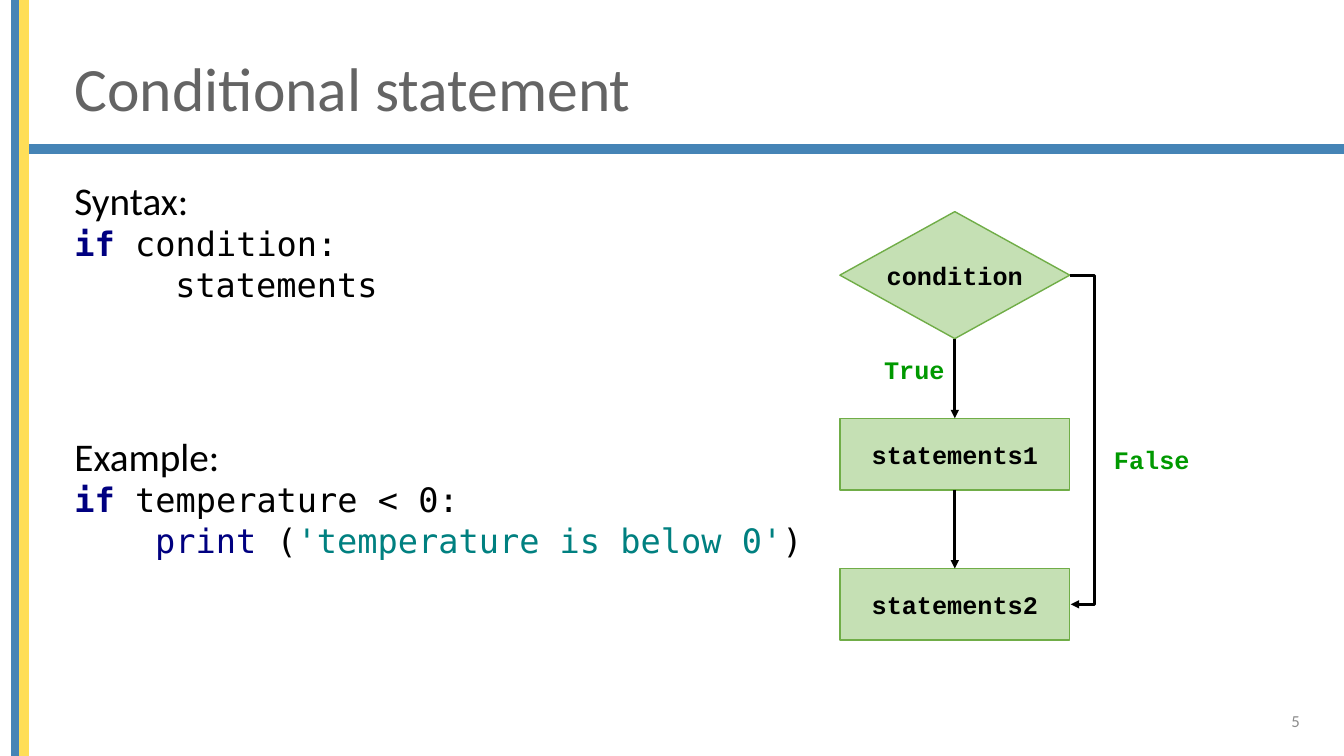
from lxml.etree import SubElement
from pptx import Presentation
from pptx.dml.color import RGBColor
from pptx.enum.shapes import MSO_CONNECTOR, MSO_SHAPE
from pptx.enum.text import MSO_ANCHOR, MSO_AUTO_SIZE, PP_ALIGN
from pptx.oxml.ns import qn
from pptx.util import Inches, Pt

COLORS = {
    "blue": "4584B6", "yellow": "FFDE57", "title": "646464", "text": "000000",
    "keyword": "000080", "string": "008080", "node": "C5E0B4", "edge": "70AD47",
    "label": "009900", "number": "8C8C8C",
}
HEAD = {"name": "Calibri", "size": 28}
CODE = {"name": "DejaVu Sans Mono", "size": 24}
FLOW = {"name": "Courier New", "size": 18, "bold": True}
CHAR_W = 0.2  # width of one code character, inches

# Content: (font, indent in characters, space before in points, [(text, colour, bold)])
BODY = [
    (HEAD, 0, 0, [("Syntax:", "text", False)]),
    (CODE, 0, 0, [("if", "keyword", True), (" condition:", "text", False)]),
    (CODE, 5, 0, [("statements", "text", False)]),
    (HEAD, 0, 91.5, [("Example:", "text", False)]),
    (CODE, 0, 0, [("if", "keyword", True), (" temperature < 0:", "text", False)]),
    (CODE, 4, 0, [("print ", "keyword", False), ("(", "text", False),
                  ("'temperature is below 0'", "string", False), (")", "text", False)]),
]
BARS = [  # left, top, width, height, colour
    (0.2, 1.44, 13.13, 0.08, "blue"),
    (0.12, 0, 0.08, 7.5, "blue"),
    (0.2, 0, 0.08, 7.5, "yellow"),
]
NODES = [  # text, shape, top, height
    ("condition", MSO_SHAPE.FLOWCHART_DECISION, 2.1, 1.26),
    ("statements1", MSO_SHAPE.RECTANGLE, 4.15, 0.71),
    ("statements2", MSO_SHAPE.RECTANGLE, 5.64, 0.71),
]
LABELS = [("True", 8.67, 3.47, 0.81), ("False", 10.95, 4.36, 0.96)]
NODE_X, NODE_W, BYPASS = 8.33, 2.28, 0.25

prs = Presentation()
prs.slide_width, prs.slide_height = Inches(13.33), Inches(7.5)
s = prs.slides.add_slide(prs.slide_layouts[5])


def rgb(key):
    return RGBColor.from_string(COLORS[key])


def add_run(p, text, font, color, bold=None):
    r = p.add_run()
    r.text = text
    for attr, value in {"bold": bold, **font}.items():
        setattr(r.font, attr, Pt(value) if attr == "size" else value)
    r.font.color.rgb = rgb(color)


def add_box(kind, left, top, width, height, fill, line):
    sp = s.shapes.add_shape(kind, *map(Inches, (left, top, width, height)))
    sp.shadow.inherit = False
    sp.fill.solid()
    sp.fill.fore_color.rgb = rgb(fill)
    sp.line.color.rgb = rgb(line)
    sp.line.width = Pt(1)
    return sp


def add_text(left, top, width, height, wrap=True):
    tf = s.shapes.add_textbox(*map(Inches, (left, top, width, height))).text_frame
    tf.word_wrap = wrap
    return tf


def add_arrow(kind, *ends):
    c = s.shapes.add_connector(kind, *map(Inches, ends))
    c.line.color.rgb = rgb("text")
    c.line.width = Pt(2)
    SubElement(c.line._get_or_add_ln(), qn("a:tailEnd"), type="triangle")
    SubElement(c._element.spPr, qn("a:effectLst"))
    return c


# Frame bars
for *place, color in BARS:
    add_box(MSO_SHAPE.RECTANGLE, *place, color, color)

# Title
title = s.shapes.title
for attr, value in zip(("left", "top", "width", "height"), (0.64, 0.4, 11.78, 1.01)):
    setattr(title, attr, Inches(value))
tf = title.text_frame
tf.auto_size, tf.vertical_anchor = MSO_AUTO_SIZE.NONE, MSO_ANCHOR.MIDDLE
p = tf.paragraphs[0]
p.alignment, p.line_spacing = PP_ALIGN.LEFT, 0.9
add_run(p, "Conditional statement", {"name": "Calibri", "size": 44}, "title")

# Syntax and example
tf = add_text(0.64, 1.7, 12.35, 5.06)
for i, (font, indent, before, runs) in enumerate(BODY):
    p = tf.add_paragraph() if i else tf.paragraphs[0]
    p.space_before = Pt(before)
    p._p.get_or_add_pPr().set("marL", str(Inches(indent * CHAR_W)))
    for text, color, bold in runs:
        add_run(p, text, font, color, bold)

# Flowchart nodes
for text, kind, top, height in NODES:
    tf = add_box(kind, NODE_X, top, NODE_W, height, "node", "edge").text_frame
    tf.word_wrap, tf.vertical_anchor = False, MSO_ANCHOR.MIDDLE
    p = tf.paragraphs[0]
    p.alignment = PP_ALIGN.CENTER
    add_run(p, text, FLOW, "text")

# Arrows between neighbouring nodes
mid_x = NODE_X + NODE_W / 2
for (_, _, top, height), (_, _, next_top, _) in zip(NODES, NODES[1:]):
    add_arrow(MSO_CONNECTOR.STRAIGHT, mid_x, top + height, mid_x, next_top)

# Bypass arrow from the condition to the last node
right = NODE_X + NODE_W
start_y, end_y = (top + height / 2 for _, _, top, height in (NODES[0], NODES[-1]))
c = add_arrow(MSO_CONNECTOR.ELBOW, right, start_y, right + 0.01, end_y)
av = c._element.spPr.find(qn("a:prstGeom")).get_or_add_avLst()
SubElement(av, qn("a:gd"), name="adj1", fmla=f"val {round(BYPASS / 0.01 * 100000)}")

# Branch labels
for text, left, top, width in LABELS:
    tf = add_text(left, top, width, 0.4, wrap=False)
    add_run(tf.paragraphs[0], text, FLOW, "label")

# Slide number
tf = add_text(9.99, 6.95, 3, 0.4)
tf.vertical_anchor = MSO_ANCHOR.MIDDLE
tf.paragraphs[0].alignment = PP_ALIGN.RIGHT
add_run(tf.paragraphs[0], "5", {"name": "Calibri", "size": 12}, "number")

prs.save("out.pptx")
